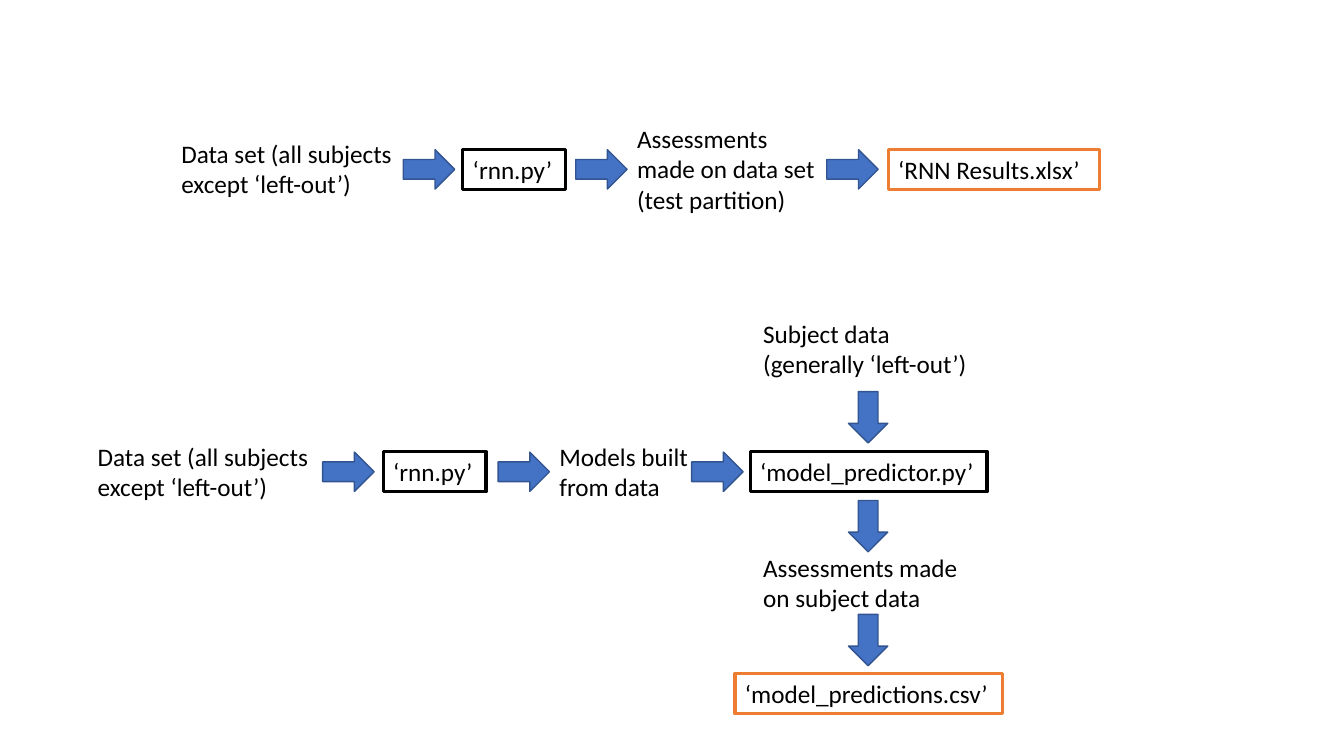
from dataclasses import dataclass
from pptx import Presentation
from pptx.dml.color import RGBColor
from pptx.enum.shapes import MSO_SHAPE
from pptx.util import Inches, Pt


@dataclass(frozen=True)
class Theme:
    font: str = "Calibri"
    text_size: float = 18
    text: str = "000000"
    arrow_fill: str = "4472C4"
    arrow_line: str = "325491"


theme = Theme()
BORDERS = {"label": ("FFFFFF", 0.75), "script": ("000000", 2.25), "result": ("ED7D31", 2.25)}
HEIGHTS = {1: 0.4, 2: 0.71, 3: 1.01}
ARROW_WIDTH, ARROW_HEIGHT = 0.51, 0.39
TEST_ROW, MODEL_ROW, PREDICTION_COLUMN = 1.68, 4.68, 8.61

DATA_SET = "Data set (all subjects except ‘left-out’)"
STEPS = [
    ("label", DATA_SET, 2, 1.7, TEST_ROW, 2.37),
    ("script", "‘rnn.py’", 1, 4.59, TEST_ROW, 1.02),
    ("label", "Assessments made on data set (test partition)", 3, 6.22, TEST_ROW, 1.98),
    ("result", "‘RNN Results.xlsx’", 1, 8.81, TEST_ROW, 2.1),
    ("label", DATA_SET, 2, 0.87, MODEL_ROW, 2.37),
    ("script", "‘rnn.py’", 1, 3.8, MODEL_ROW, 1.02),
    ("label", "Models built from data", 2, 5.45, MODEL_ROW, 1.51),
    ("script", "‘model_predictor.py’", 1, 7.44, MODEL_ROW, 2.35),
    ("label", "Subject data (generally ‘left-out’)", 2, 7.47, 3.46, 2.35),
    ("label", "Assessments made on subject data", 2, 7.47, 5.78, 2.15),
    ("result", "‘model_predictions.csv’", 1, 7.29, 6.88, 2.65),
]
RIGHT_ARROWS = {TEST_ROW: (4, 5.71, 8.2), MODEL_ROW: (3.2, 4.94, 6.86)}
DOWN_ARROW_CENTRES = (4.14, 5.22, 6.35)


def set_line(shape, color, width):
    shape.line.color.rgb = RGBColor.from_string(color)
    shape.line.width = Pt(width)


def add_step(page, kind, text, lines, left, centre, width):
    height = HEIGHTS[lines]
    box = page.shapes.add_textbox(
        Inches(left), Inches(centre - height / 2), Inches(width), Inches(height))
    set_line(box, *BORDERS[kind])
    box.text_frame.word_wrap = True
    box.text_frame.text = text
    font = box.text_frame.paragraphs[0].runs[0].font
    font.name = theme.font
    font.size = Pt(theme.text_size)
    font.color.rgb = RGBColor.from_string(theme.text)


def add_arrow(page, left, centre, rotation=0):
    arrow = page.shapes.add_shape(
        MSO_SHAPE.RIGHT_ARROW, Inches(left), Inches(centre - ARROW_HEIGHT / 2),
        Inches(ARROW_WIDTH), Inches(ARROW_HEIGHT))
    arrow.rotation = rotation
    arrow.shadow.inherit = False
    arrow.fill.solid()
    arrow.fill.fore_color.rgb = RGBColor.from_string(theme.arrow_fill)
    set_line(arrow, theme.arrow_line, 1)


deck = Presentation()
deck.slide_width, deck.slide_height = Inches(13.33), Inches(7.5)
page = deck.slides.add_slide(deck.slide_layouts[6])

for step in STEPS:
    add_step(page, *step)
for row, lefts in RIGHT_ARROWS.items():
    for left in lefts:
        add_arrow(page, left, row)
for centre in DOWN_ARROW_CENTRES:
    add_arrow(page, PREDICTION_COLUMN - ARROW_WIDTH / 2, centre, 90)

deck.save("out.pptx")
